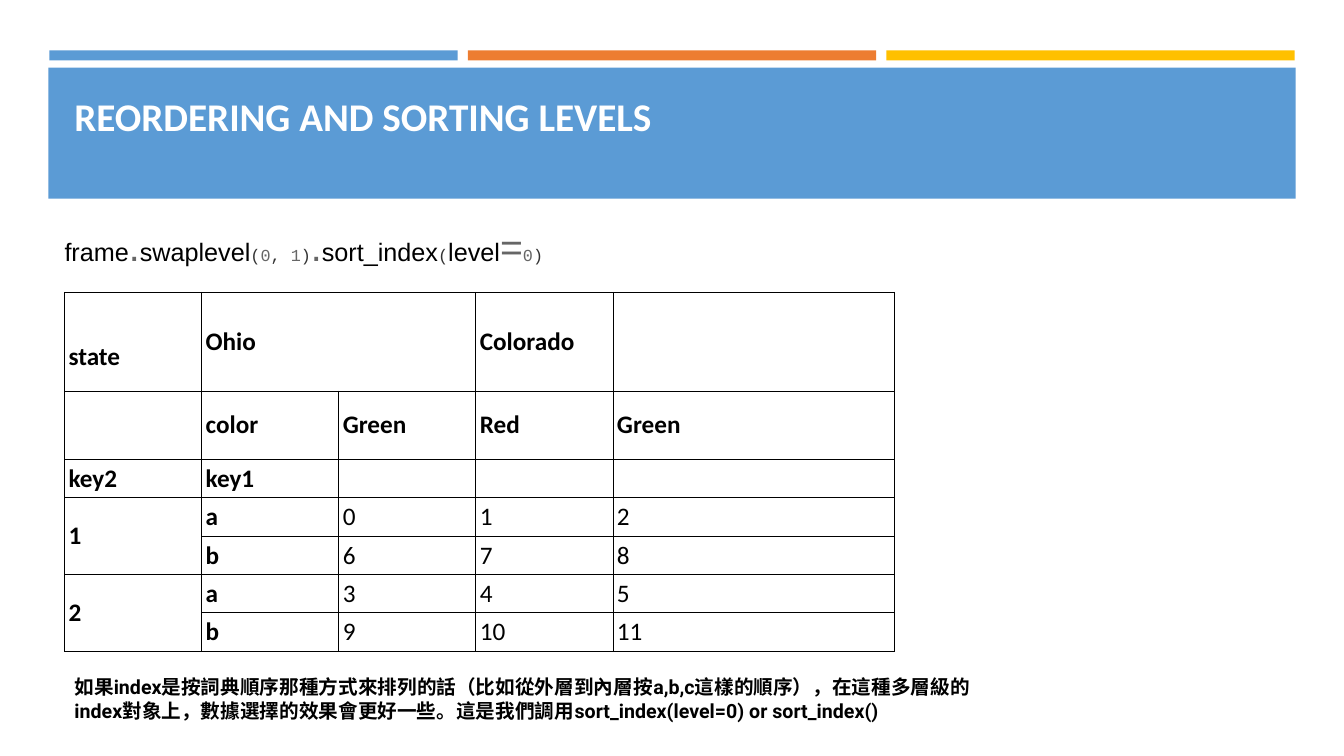
from lxml.etree import SubElement
from pptx import Presentation
from pptx.dml.color import RGBColor
from pptx.enum.shapes import MSO_SHAPE as Shape
from pptx.enum.text import MSO_ANCHOR as Anchor
from pptx.oxml.ns import qn
from pptx.util import Inches, Pt

BLUE = RGBColor(0x5B, 0x9B, 0xD5)
ORANGE = RGBColor(0xED, 0x7D, 0x31)
GOLD = RGBColor(0xFF, 0xC0, 0x00)
WHITE = RGBColor(0xFF, 0xFF, 0xFF)
BLACK = RGBColor(0x00, 0x00, 0x00)
GRAY = RGBColor(0x66, 0x66, 0x66)
DARK = RGBColor(0x33, 0x33, 0x33)

# Text styles: font name, size, bold, colour
TITLE = ("Calibri", 28, True, WHITE)
HEADER = ("Calibri", 18, True, BLACK)
VALUE = ("Calibri", 18, False, BLACK)
NOTE = ("Roboto", 14, True, BLACK)
NAME = ("Arial", 18, False, BLACK)
OPERATOR = ("Arial", 28, False, GRAY)
NUMBER = ("Courier New", 12, False, GRAY)
BRACKET = ("Courier New", 12, False, DARK)


class SlideBuilder:
    def __init__(self, page, border_color=BLACK, border_width=0.75):
        self.page = page
        self.border_color = border_color
        self.border_width = border_width

    def bar(self, left, top, width, height, color):
        shape = self.page.shapes.add_shape(
            Shape.RECTANGLE, *map(Inches, (left, top, width, height)))
        shape.shadow.inherit = False
        shape.fill.solid()
        shape.fill.fore_color.rgb = color
        shape.line.fill.background()

    def add_span(self, para, text, style):
        span = para.add_run()
        span.text = text
        name, size, bold, color = style
        formats = {"name": name, "size": Pt(size), "bold": bold}
        for key, value in formats.items():
            setattr(span.font, key, value)
        span.font.color.rgb = color

    def text(self, left, top, width, height, spans, **formats):
        box = self.page.shapes.add_textbox(
            *map(Inches, (left, top, width, height)))
        frame = box.text_frame
        for key, value in {"word_wrap": True, **formats}.items():
            setattr(frame, key, value)
        for text, style in spans:
            self.add_span(frame.paragraphs[0], text, style)

    def border(self, cell):
        properties = cell._tc.get_or_add_tcPr()
        for index, side in enumerate(("lnL", "lnR", "lnT", "lnB")):
            line = properties.makeelement(
                qn(f"a:{side}"), {"w": str(Pt(self.border_width))})
            fill = SubElement(line, qn("a:solidFill"))
            SubElement(fill, qn("a:srgbClr"), val=str(self.border_color))
            properties.insert(index, line)

    def table(self, left, top, widths, heights, rows, merges, is_header):
        size = (sum(widths), sum(heights))
        table = self.page.shapes.add_table(
            len(rows), len(widths),
            *map(Inches, (left, top, *size))).table
        for column, width in zip(table.columns, widths):
            column.width = Inches(width)
        for row, height in zip(table.rows, heights):
            row.height = Inches(height)
        for r, row in enumerate(rows):
            for c, text in enumerate(row):
                cell = table.cell(r, c)
                cell.vertical_anchor = Anchor.MIDDLE
                for side in ("left", "right", "top", "bottom"):
                    setattr(cell, f"margin_{side}", Inches(0.04))
                cell.fill.solid()
                cell.fill.fore_color.rgb = WHITE
                self.border(cell)
                if text:
                    style = HEADER if is_header(r, c) else VALUE
                    self.add_span(cell.text_frame.paragraphs[0], text, style)
        for first, last in merges:
            table.cell(*first).merge(table.cell(*last))
        return table


def main():
    deck = Presentation()
    deck.slide_width, deck.slide_height = Inches(13.33), Inches(7.5)
    builder = SlideBuilder(deck.slides.add_slide(deck.slide_layouts[6]))

    # Header bars and title
    for index, color in enumerate((BLUE, ORANGE, GOLD)):
        builder.bar(0.49 + index * 4.15, 0.5, 4.05, 0.1, color)
    builder.bar(0.48, 0.67, 12.37, 1.3, BLUE)
    builder.text(0.64, 0.77, 12.06, 1.11,
                 [("REORDERING AND SORTING LEVELS", TITLE)],
                 margin_top=Inches(0.15))

    # Line of code
    code = [
        ("frame", NAME), (".", OPERATOR), ("swaplevel", NAME),
        ("(", BRACKET), ("0", NUMBER), (", ", BRACKET), ("1", NUMBER),
        (")", BRACKET), (".", OPERATOR), ("sort_index", NAME),
        ("(", BRACKET), ("level", NAME), ("=", OPERATOR), ("0", NUMBER),
        (")", BRACKET),
    ]
    builder.text(0.64, 2.2, 4.84, 0.47, code, vertical_anchor=Anchor.MIDDLE,
                 margin_left=0, margin_right=0, margin_top=0, margin_bottom=0)

    # Table with two index levels
    rows = [
        ("state", "Ohio", "", "Colorado", ""),
        ("", "color", "Green", "Red", "Green"),
        ("key2", "key1", "", "", ""),
        ("1", "a", "0", "1", "2"),
        ("", "b", "6", "7", "8"),
        ("2", "a", "3", "4", "5"),
        ("", "b", "9", "10", "11"),
    ]
    merges = [((0, 1), (0, 2)), ((3, 0), (4, 0)), ((5, 0), (6, 0))]
    table = builder.table(
        0.64, 2.9, [1.36] * 4 + [2.79], [0.98, 0.68] + [0.38] * 5,
        rows, merges, lambda r, c: r < 3 or c < 2)
    table.cell(0, 0).margin_top = Inches(0.35)

    # Closing note
    note = ("如果index是按詞典順序那種方式來排列的話（比如從外層到內層按a,b,c這樣的順序），"
            "在這種多層級的index對象上，數據選擇的效果會更好一些。"
            "這是我們調用sort_index(level=0) or sort_index()")
    builder.text(0.64, 6.65, 9.36, 0.57, [(note, NOTE)])

    deck.save("out.pptx")


if __name__ == "__main__":
    main()
